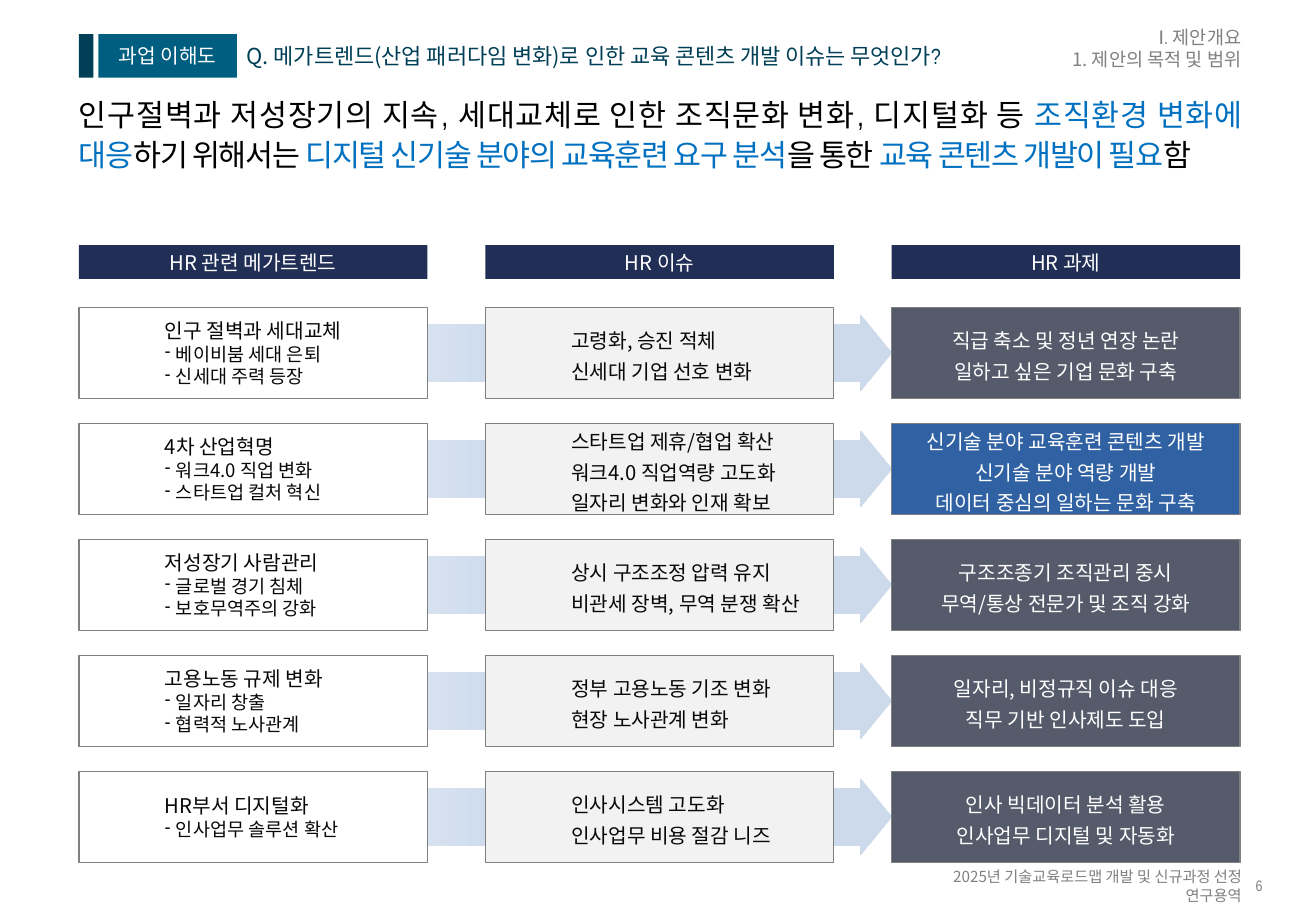
"""Builds the slide linking HR megatrends to HR issues and HR tasks."""
from copy import deepcopy
from dataclasses import dataclass

from lxml import etree
from pptx import Presentation
from pptx.dml.color import RGBColor
from pptx.enum.shapes import MSO_SHAPE
from pptx.enum.text import MSO_ANCHOR, PP_ALIGN
from pptx.oxml.ns import qn
from pptx.util import Pt

RECT, ARROW = MSO_SHAPE.RECTANGLE, MSO_SHAPE.RIGHT_ARROW
LEFT, CENTER, RIGHT, JUSTIFY = PP_ALIGN.LEFT, PP_ALIGN.CENTER, PP_ALIGN.RIGHT, PP_ALIGN.JUSTIFY
TOP, MIDDLE = MSO_ANCHOR.TOP, MSO_ANCHOR.MIDDLE


@dataclass(frozen=True)
class Theme:
    """Colours, fonts and type sizes of the slide."""
    sans: str = "Noto Sans CJK KR"
    narrow: str = "Arial Narrow"
    black: str = "000000"
    ink: str = "080808"
    white: str = "FFFFFF"
    grey: str = "808080"
    accent: str = "0070C0"
    teal_dark: str = "003F56"
    teal: str = "005E80"
    navy: str = "212E55"
    pale: str = "F2F2F2"
    slate: str = "565B6B"
    blue: str = "3061A3"
    arrow_stops: tuple = ((0, "F6F9FC"), (0.41, "CCDAEC"), (1, "CAD9EB"))
    title: float = 18
    question: float = 13
    body: float = 12
    small: float = 11
    footer: float = 9


THEME = Theme()

TAG = "과업 이해도"
QUESTION = [("Q. 메가트렌드(산업 패러다임 변화)로 인한 교육 콘텐츠 개발 ", THEME.sans),
            ("이슈는 무엇인가?", THEME.narrow)]
BREADCRUMB = [("Ⅰ. 제안개요", THEME.narrow), ("1. 제안의 목적 및 범위", THEME.sans)]
HEADLINE = [
    ("인구절벽과 저성장기의 지속, 세대교체로 인한 조직문화 변화, 디지털화 등 ", THEME.black),
    ("조직환경 변화에 대응", THEME.accent),
    ("하기 위해서는 ", THEME.black),
    ("디지털 신기술 분야의 교육훈련 요구 분석", THEME.accent),
    ("을 통한 ", THEME.black),
    ("교육 콘텐츠 개발이 필요", THEME.accent),
    ("함", THEME.black),
]
FOOTER = "2025년 기술교육로드맵 개발 및 신규과정 선정 연구용역"
PAGE_NUMBER = "6"
COLUMN_HEADS = ["HR 관련 메가트렌드", "HR 이슈", "HR 과제"]
ROWS = [
    (["인구 절벽과 세대교체", "베이비붐 세대 은퇴", "신세대 주력 등장"],
     ["고령화, 승진 적체", "신세대 기업 선호 변화"],
     ["직급 축소 및 정년 연장 논란", "일하고 싶은 기업 문화 구축"]),
    (["4차 산업혁명", "워크4.0 직업 변화", "스타트업 컬처 혁신"],
     ["스타트업 제휴/협업 확산", "워크4.0 직업역량 고도화", "일자리 변화와 인재 확보"],
     ["신기술 분야 교육훈련 콘텐츠 개발", "신기술 분야 역량 개발", "데이터 중심의 일하는 문화 구축"]),
    (["저성장기 사람관리", "글로벌 경기 침체", "보호무역주의 강화"],
     ["상시 구조조정 압력 유지", "비관세 장벽, 무역 분쟁 확산"],
     ["구조조종기 조직관리 중시", "무역/통상 전문가 및 조직 강화"]),
    (["고용노동 규제 변화", "일자리 창출", "협력적 노사관계"],
     ["정부 고용노동 기조 변화", "현장 노사관계 변화"],
     ["일자리, 비정규직 이슈 대응", "직무 기반 인사제도 도입"]),
    (["HR부서 디지털화", "인사업무 솔루션 확산"],
     ["인사시스템 고도화", "인사업무 비용 절감 니즈"],
     ["인사 빅데이터 분석 활용", "인사업무 디지털 및 자동화"]),
]
HIGHLIGHT_ROW = 1

MARGIN, COLUMN_STEP, COLUMN_WIDTH = 46.8, 240.85, 206.6
HEAD_TOP, HEAD_HEIGHT = 145.4, 20
ROW_TOP, ROW_STEP, ROW_HEIGHT = 182.2, 68.75, 54
ARROW_LEFT, ARROW_HEIGHT = 140.4, 45.2
BANNER_TOP, BANNER_HEIGHT = 20.2, 25.9
INDENT, BULLET_INDENT, LINE_PITCH = 51, 6.5, 18


def rgb(colour):
    return RGBColor.from_string(colour)


def add_shape(page, kind, place, fill=None, line=None):
    shape = page.shapes.add_shape(kind, *map(Pt, place))
    shape.shadow.inherit = False
    if fill:
        shape.fill.solid()
        shape.fill.fore_color.rgb = rgb(fill)
    if line:
        shape.line.color.rgb = rgb(line)
        shape.line.width = Pt(0.75)
    else:
        shape.line.fill.background()
    return shape


def frame_of(shape, anchor=MIDDLE, left=0, top=0):
    frame = shape.text_frame
    frame.word_wrap = True
    frame.vertical_anchor = anchor
    frame.margin_left, frame.margin_top = Pt(left), Pt(top)
    frame.margin_right = frame.margin_bottom = 0
    return frame


def add_text(page, place, **layout):
    return frame_of(page.shapes.add_textbox(*map(Pt, place)), **layout)


def set_typeface(font, properties, name):
    font.name = name
    east_asian = etree.Element(qn("a:ea"), typeface=name)
    properties.find(qn("a:latin")).addnext(east_asian)


def style(para, size, colour, name=THEME.sans, align=LEFT, spacing=None):
    para.alignment = align
    if spacing:
        para.line_spacing = spacing
    para.font.size = Pt(size)
    para.font.color.rgb = rgb(colour)
    set_typeface(para.font, para.font._element, name)


def add_bullet(para):
    properties = para._p.get_or_add_pPr()
    properties.set("marL", str(Pt(BULLET_INDENT)))
    properties.set("indent", str(-Pt(BULLET_INDENT)))
    colour = etree.SubElement(properties, qn("a:buClr"))
    etree.SubElement(colour, qn("a:srgbClr"), val=THEME.black)
    etree.SubElement(properties, qn("a:buSzPct"), val="90000")
    etree.SubElement(properties, qn("a:buChar"), char="-")


def write_lines(frame, lines, size, colour, **look):
    for index, line in enumerate(lines):
        para = frame.add_paragraph() if index else frame.paragraphs[0]
        para.text = line
        style(para, size, colour, **look)


def write_trend(frame, lines):
    for index, line in enumerate(lines):
        para = frame.add_paragraph() if index else frame.paragraphs[0]
        para.text = line
        if index:
            add_bullet(para)
        style(para, THEME.small if index else THEME.body, THEME.ink)


def add_arrow(page, top):
    tip = MARGIN + 2 * COLUMN_STEP
    arrow = add_shape(page, ARROW, (ARROW_LEFT, top, tip - ARROW_LEFT, ARROW_HEIGHT))
    arrow.adjustments[0], arrow.adjustments[1] = 0.75, 0.41
    arrow.fill.gradient()
    arrow.fill.gradient_angle = 0
    stops = arrow._element.find(".//" + qn("a:gsLst"))
    stops.insert(1, deepcopy(stops[0]))
    for stop, (position, colour) in zip(arrow.fill.gradient_stops, THEME.arrow_stops):
        stop.position = position
        stop.color.rgb = rgb(colour)


def add_banner(page):
    frame = add_text(page, (140.4, BANNER_TOP, 493, BANNER_HEIGHT), left=5.8)
    para = frame.paragraphs[0]
    style(para, THEME.question, THEME.teal_dark)
    for text, name in QUESTION:
        span = para.add_run()
        span.text = text
        set_typeface(span.font, span._r.get_or_add_rPr(), name)
    add_shape(page, RECT, (MARGIN, BANNER_TOP, 8.6, BANNER_HEIGHT), THEME.teal_dark)
    tag = add_shape(page, RECT, (58.3, BANNER_TOP, 82.1, BANNER_HEIGHT), THEME.teal)
    write_lines(frame_of(tag), [TAG], THEME.body, THEME.white, name=THEME.narrow, align=CENTER)

    crumbs = add_text(page, (574.6, 10.8, 161.2, 35.3))
    for index, (text, name) in enumerate(BREADCRUMB):
        para = crumbs.add_paragraph() if index else crumbs.paragraphs[0]
        para.text = text
        style(para, THEME.small, THEME.grey, name=name, align=RIGHT)


def add_headline(page):
    frame = add_text(page, (MARGIN, 51.1, 689, 64), anchor=TOP, top=3.6)
    para = frame.paragraphs[0]
    style(para, THEME.title, THEME.black, name=THEME.narrow, align=JUSTIFY, spacing=1.1)
    for text, colour in HEADLINE:
        span = para.add_run()
        span.text = text
        span.font.color.rgb = rgb(colour)
        span._r.get_or_add_rPr().set("spc", "-80")


def add_matrix(page):
    lefts = [MARGIN + COLUMN_STEP * column for column in range(len(COLUMN_HEADS))]
    for left, text in zip(lefts, COLUMN_HEADS):
        head = add_shape(page, RECT, (left, HEAD_TOP, COLUMN_WIDTH, HEAD_HEIGHT), THEME.navy)
        write_lines(frame_of(head), [text], THEME.body, THEME.white, align=CENTER)
    for row, (trend, issues, tasks) in enumerate(ROWS):
        top = ROW_TOP + ROW_STEP * row
        add_arrow(page, top + (ROW_HEIGHT - ARROW_HEIGHT) / 2)
        fills = (THEME.white, THEME.pale, THEME.blue if row == HIGHLIGHT_ROW else THEME.slate)
        trend_box, issue_box, task_box = [
            add_shape(page, RECT, (left, top, COLUMN_WIDTH, ROW_HEIGHT), fill, THEME.grey)
            for left, fill in zip(lefts, fills)]
        write_trend(frame_of(trend_box, left=INDENT), trend)
        write_lines(frame_of(issue_box, left=INDENT), issues, THEME.body, THEME.ink,
                    spacing=Pt(LINE_PITCH))
        write_lines(frame_of(task_box), tasks, THEME.body, THEME.white, align=CENTER,
                    spacing=Pt(LINE_PITCH))


def add_footer(page):
    write_lines(add_text(page, (532.8, 519.8, 203, 10.8)), [FOOTER], THEME.footer, THEME.grey,
                align=RIGHT)
    write_lines(add_text(page, (741.6, 520.6, 9.4, 10)), [PAGE_NUMBER], THEME.footer, THEME.grey,
                name=THEME.narrow, align=CENTER, spacing=0.9)


def main():
    deck = Presentation()
    deck.slide_width, deck.slide_height = Pt(780), Pt(540)
    page = deck.slides.add_slide(deck.slide_layouts[6])
    for add_part in (add_footer, add_matrix, add_headline, add_banner):
        add_part(page)
    deck.save("out.pptx")


if __name__ == "__main__":
    main()
